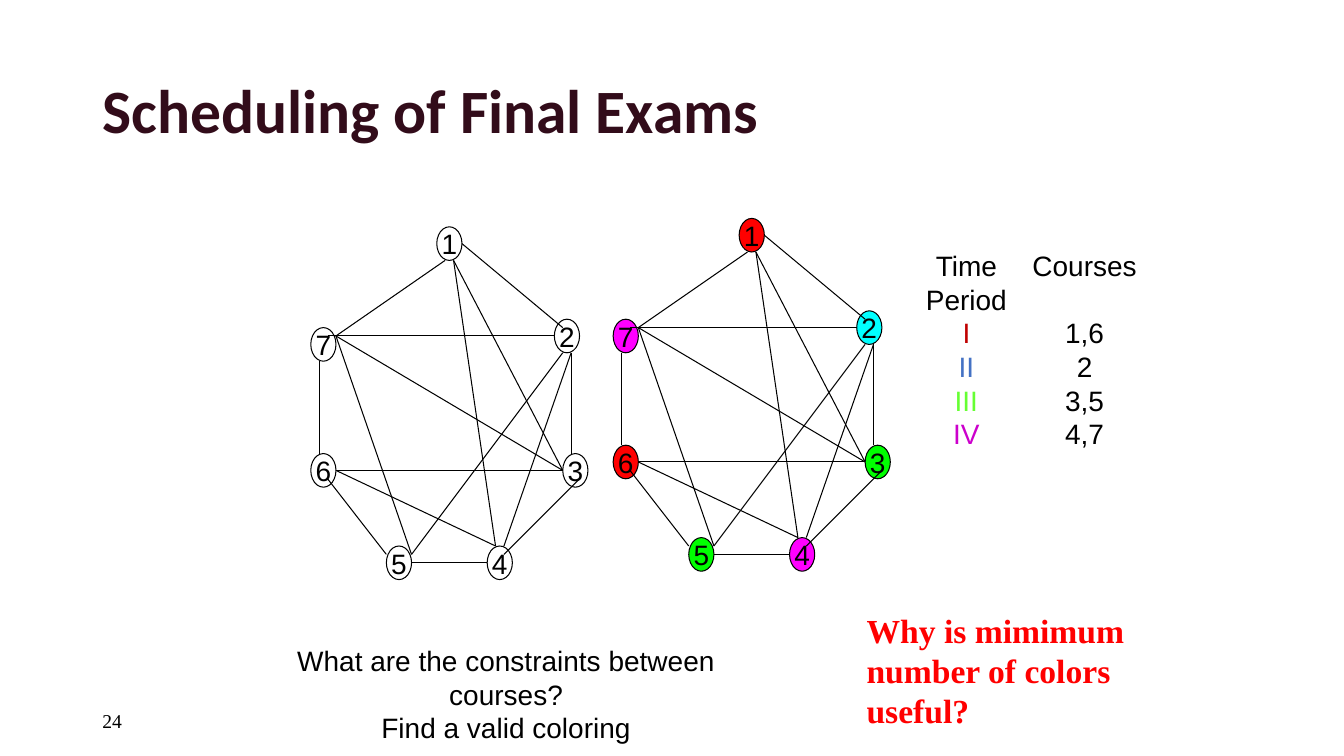
from lxml import etree
from pptx import Presentation
from pptx.dml.color import RGBColor
from pptx.enum.shapes import MSO_CONNECTOR, MSO_SHAPE
from pptx.enum.text import MSO_ANCHOR, PP_ALIGN
from pptx.oxml.ns import qn
from pptx.util import Cm, Pt

OVAL, STRAIGHT = MSO_SHAPE.OVAL, MSO_CONNECTOR.STRAIGHT
LEFT, CENTER = PP_ALIGN.LEFT, PP_ALIGN.CENTER
TOP, MIDDLE = MSO_ANCHOR.TOP, MSO_ANCHOR.MIDDLE
BLACK = "000000"

TITLE = "Scheduling of Final Exams"
NUMBER = "24"
QUESTION = ["What are the constraints between courses?", "Find a valid coloring"]
WHY = ["Why is mimimum", "number of colors", "useful?"]
PERIODS = ["Time", "Period", "I", "II", "III", "IV"]
PERIOD_COLORS = [BLACK, BLACK, "C00000", "4472C4", "66FF33", "CC00CC"]
COURSES = ["Courses", "1,6", "2", "3,5", "4,7"]

UNIT = 2.54 / 12
NODE_W, NODE_H = 3, 4
NODES = {"1": (15, 0), "7": (0, 12), "2": (29, 11), "3": (30, 27),
         "6": (0, 27), "5": (9, 38), "4": (21, 38)}
EDGES = [
    (18, 2, 30, 12), (17, 4, 30, 29), (17, 4, 22, 38), (30, 15, 12, 39),
    (29, 13, 2, 13), (1, 16, 1, 27), (3, 29, 30, 29), (12, 39, 3, 13),
    (22, 38, 3, 29), (3, 13, 16, 4), (31, 15, 31, 27), (31, 15, 23, 38),
    (21, 40, 12, 40), (9, 39, 2, 30), (23, 39, 32, 30), (30, 29, 3, 13),
]
COLORING = {"1": "FF0000", "6": "FF0000", "2": "00FFFF", "3": "00FF00",
            "5": "00FF00", "4": "FF00FF", "7": "FF00FF"}
GRAPHS = [((37, 27), {}), ((73, 26), COLORING)]


def rgb(value):
    return RGBColor.from_string(value)


def write(sp, lines, size=20, font="Arial", color=BLACK, colors=None, bold=False,
          align=CENTER, anchor=TOP, wrap=False, gap=0, spacing=None):
    tf = sp.text_frame
    tf.word_wrap = wrap
    tf.vertical_anchor = anchor
    for i, line in enumerate(lines):
        p = tf.paragraphs[0] if i == 0 else tf.add_paragraph()
        p.alignment = align
        if spacing:
            p.line_spacing = spacing
        if gap and i == 1:
            p.space_before = Pt(gap)
        r = p.add_run()
        r.text = line
        r.font.size, r.font.name, r.font.bold = Pt(size), font, bold
        r.font.color.rgb = rgb(colors[i] if colors else color)


def add_text(slide, box, lines, **style):
    write(slide.shapes.add_textbox(*map(Cm, box)), lines, **style)


def add_graph(slide, origin, fills):
    left, top = origin

    def place(x, y):
        return Cm((left + x) * UNIT), Cm((top + y) * UNIT)

    for name, (x, y) in NODES.items():
        sp = slide.shapes.add_shape(OVAL, *place(x, y),
                                    Cm(NODE_W * UNIT), Cm(NODE_H * UNIT))
        sp.shadow.inherit = False
        if name in fills:
            sp.fill.solid()
            sp.fill.fore_color.rgb = rgb(fills[name])
        else:
            sp.fill.background()
        sp.line.color.rgb = rgb(BLACK)
        sp.line.width = Pt(0.75)
        write(sp, [name], anchor=MIDDLE)

    for x1, y1, x2, y2 in EDGES:
        edge = slide.shapes.add_connector(STRAIGHT, *place(x1, y1), *place(x2, y2))
        edge.line.color.rgb = rgb(BLACK)
        edge.line.width = Pt(0.75)
        etree.SubElement(edge._element.spPr, qn("a:effectLst"))


def main():
    prs = Presentation()
    prs.slide_width, prs.slide_height = Cm(33.87), Cm(19.05)
    slide = prs.slides.add_slide(prs.slide_layouts[5])

    title = slide.shapes.title
    title.left, title.top, title.width, title.height = map(Cm, (2.33, 1.01, 29.21, 3.68))
    write(title, [TITLE], size=44, font="Calibri", color="320C1A", bold=True,
          align=LEFT, anchor=MIDDLE, wrap=True, spacing=0.9)

    for origin, fills in GRAPHS:
        add_graph(slide, origin, fills)

    add_text(slide, (5.72, 16.09, 14.07, 1.96), QUESTION, wrap=True)
    add_text(slide, (23.07, 6.14, 2.57, 5.33), PERIODS, colors=PERIOD_COLORS)
    add_text(slide, (25.76, 6.14, 3.15, 5.33), COURSES, gap=24)
    add_text(slide, (21.59, 15.24, 7.06, 3.33), WHY, size=24, color="FF0000",
             font="Times New Roman", bold=True, align=LEFT)
    add_text(slide, (2.33, 17.65, 7.62, 1.01), [NUMBER], size=14,
             font="Times New Roman", align=LEFT, anchor=MIDDLE, wrap=True)

    prs.save("out.pptx")


if __name__ == "__main__":
    main()
